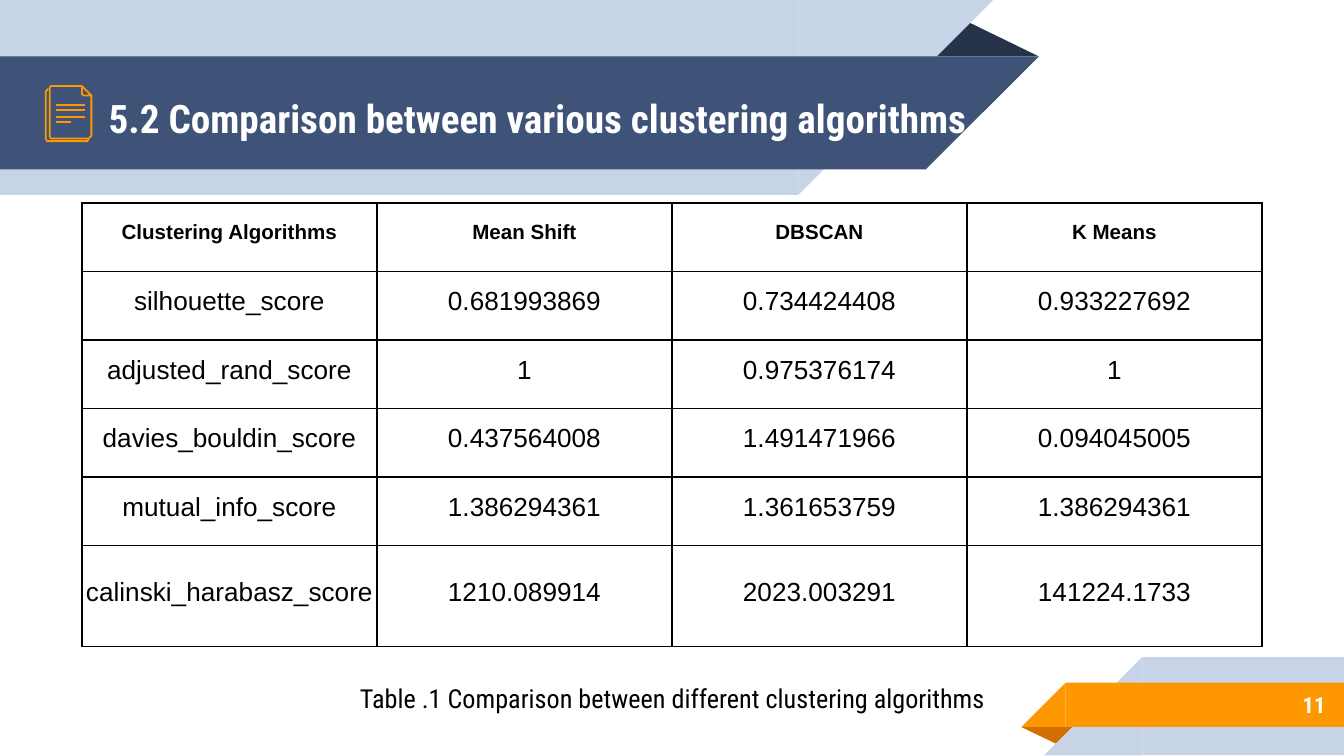
from lxml import etree
from pptx import Presentation
from pptx.dml.color import RGBColor
from pptx.enum.shapes import MSO_CONNECTOR, MSO_SHAPE
from pptx.enum.text import MSO_ANCHOR, PP_ALIGN
from pptx.oxml.ns import qn
from pptx.util import Inches, Pt

RECTANGLE = MSO_SHAPE.RECTANGLE
CORNER = MSO_SHAPE.RIGHT_TRIANGLE
FOLD = MSO_SHAPE.ISOSCELES_TRIANGLE
STRAIGHT = MSO_CONNECTOR.STRAIGHT
MIDDLE = MSO_ANCHOR.MIDDLE
LEFT, CENTER, RIGHT = PP_ALIGN.LEFT, PP_ALIGN.CENTER, PP_ALIGN.RIGHT

PALE, NAVY, ORANGE = "C7D3E6", "3F5378", "FF9800"
WHITE, BLACK = "FFFFFF", "000000"
CONDENSED = "Roboto Condensed"

RIBBONS = [
    (FOLD, 6.88, 0.14, 0.85, 0.28, "263248", None),
    (RECTANGLE, 0, 0, 5.94, 1.45, PALE, None),
    (CORNER, 5.94, 0, 1.45, 1.45, PALE, "flipV"),
    (RECTANGLE, 0, 0.42, 6.89, 0.84, NAVY, None),
    (CORNER, 6.89, 0.42, 0.84, 0.84, NAVY, "flipV"),
    (FOLD, 7.6, 5.41, 0.43, 0.14, "D26F00", "rot"),
    (RECTANGLE, 8.5, 4.89, 1.5, 0.73, PALE, None),
    (CORNER, 7.77, 4.89, 0.73, 0.73, PALE, "flipH"),
    (RECTANGLE, 7.93, 5.08, 2.07, 0.33, ORANGE, None),
    (CORNER, 7.6, 5.08, 0.33, 0.33, ORANGE, "flipH"),
]

TEXTS = [
    ("5.2 Comparison between various clustering algorithms",
     0.71, 0.43, 6.77, 0.84, 21, True, WHITE, LEFT, True),
    ("11", 8.33, 5.07, 1.63, 0.35, 12, True, WHITE, RIGHT, False),
    ("Table .1 Comparison between different clustering algorithms",
     2.34, 5.06, 5.33, 0.27, 14, False, BLACK, CENTER, False),
]

ICON_OUTLINES = [
    ([(0.66, 1.03), (0.65, 1.05), (0.64, 1.05), (0.36, 1.05), (0.35, 1.05),
      (0.34, 1.03), (0.34, 0.68), (0.35, 0.67), (0.36, 0.66)], False),
    ([(0.68, 0.71), (0.68, 1.01), (0.67, 1.02), (0.66, 1.03), (0.38, 1.03),
      (0.37, 1.02), (0.37, 1.01), (0.37, 0.66), (0.37, 0.65), (0.38, 0.64),
      (0.61, 0.64)], False),
    ([(0.61, 0.7), (0.61, 0.64), (0.68, 0.71), (0.63, 0.71), (0.62, 0.71)], True),
]
ICON_LINES = [(0.63, 0.78), (0.63, 0.82), (0.63, 0.87), (0.53, 0.91)]

ROWS = [
    ("Clustering Algorithms", "Mean Shift", "DBSCAN", "K Means"),
    ("silhouette_score", "0.681993869", "0.734424408", "0.933227692"),
    ("adjusted_rand_score", "1", "0.975376174", "1"),
    ("davies_bouldin_score", "0.437564008", "1.491471966", "0.094045005"),
    ("mutual_info_score", "1.386294361", "1.361653759", "1.386294361"),
    ("calinski_harabasz_score", "1210.089914", "2023.003291", "141224.1733"),
]
TABLE_LEFT, TABLE_TOP, TABLE_WIDTH = 0.61, 1.51, 8.78
ROW_HEIGHTS = [0.51] * 5 + [0.75]


def color(value):
    return RGBColor.from_string(value)


def style_paragraph(paragraph, size, bold, font_name, font_color, alignment, spaced):
    paragraph.alignment = alignment
    if spaced:
        paragraph.line_spacing = 1.15
        paragraph.space_before = paragraph.space_after = Pt(12)
    for run in paragraph.runs:
        run.font.size = Pt(size)
        run.font.bold = bold
        run.font.name = font_name
        run.font.color.rgb = color(font_color)


def style_icon_line(shape):
    shape.line.color.rgb = color(ORANGE)
    shape.line.width = Pt(0.96)


def add_ribbon(slide, kind, left, top, width, height, fill, turn):
    shape = slide.shapes.add_shape(
        kind, Inches(left), Inches(top), Inches(width), Inches(height))
    shape.shadow.inherit = False
    shape.fill.solid()
    shape.fill.fore_color.rgb = color(fill)
    shape.line.fill.background()
    if kind == FOLD:
        shape.adjustments[0] = 0.324
    if turn == "rot":
        shape.rotation = 180
    elif turn:
        shape._element.spPr.find(qn("a:xfrm")).set(turn, "1")


def add_text(slide, text, left, top, width, height, size, bold, font_color, alignment, spaced):
    box = slide.shapes.add_textbox(
        Inches(left), Inches(top), Inches(width), Inches(height))
    frame = box.text_frame
    frame.word_wrap = True
    frame.vertical_anchor = MIDDLE
    frame.margin_left = frame.margin_right = Inches(0.1)
    frame.margin_top = frame.margin_bottom = Inches(0.1)
    frame.text = text
    style_paragraph(frame.paragraphs[0], size, bold, CONDENSED, font_color, alignment, spaced)


def add_icon(slide):
    for points, closed in ICON_OUTLINES:
        corners = [(Inches(x), Inches(y)) for x, y in points]
        builder = slide.shapes.build_freeform(*corners[0])
        builder.add_line_segments(corners[1:], close=closed)
        shape = builder.convert_to_shape()
        shape.shadow.inherit = False
        shape.fill.background()
        style_icon_line(shape)
    for right, y in ICON_LINES:
        line = slide.shapes.add_connector(
            STRAIGHT, Inches(0.42), Inches(y), Inches(right), Inches(y))
        style_icon_line(line)
        etree.SubElement(line._element.spPr, qn("a:effectLst"))


def add_borders(cell):
    properties = cell._tc.get_or_add_tcPr()
    for position, side in enumerate(("lnL", "lnR", "lnT", "lnB")):
        border = etree.Element(qn(f"a:{side}"), w=str(Pt(1)))
        fill = etree.SubElement(border, qn("a:solidFill"))
        etree.SubElement(fill, qn("a:srgbClr"), val=BLACK)
        properties.insert(position, border)


def add_score_table(slide):
    table = slide.shapes.add_table(
        len(ROWS), len(ROWS[0]), Inches(TABLE_LEFT), Inches(TABLE_TOP),
        Inches(TABLE_WIDTH), Inches(sum(ROW_HEIGHTS))).table
    table.first_row = table.horz_banding = False
    for column in table.columns:
        column.width = Inches(TABLE_WIDTH / len(ROWS[0]))
    for row_index, values in enumerate(ROWS):
        table.rows[row_index].height = Inches(ROW_HEIGHTS[row_index])
        header = row_index == 0
        for column_index, value in enumerate(values):
            cell = table.cell(row_index, column_index)
            cell.text = value
            cell.vertical_anchor = MIDDLE
            cell.margin_left = cell.margin_right = cell.margin_top = Inches(0.01)
            cell.margin_bottom = Inches(0.1)
            if header or column_index == 0:
                cell.fill.background()
            else:
                cell.fill.solid()
                cell.fill.fore_color.rgb = color(WHITE)
            style_paragraph(cell.text_frame.paragraphs[0], 11 if header else 14,
                            header, "Arial", BLACK, CENTER, True)
            add_borders(cell)


def main():
    presentation = Presentation()
    presentation.slide_width = Inches(10)
    presentation.slide_height = Inches(10) * 9 // 16
    slide = presentation.slides.add_slide(presentation.slide_layouts[6])
    for ribbon in RIBBONS:
        add_ribbon(slide, *ribbon)
    for text in TEXTS:
        add_text(slide, *text)
    add_icon(slide)
    add_score_table(slide)
    presentation.save("out.pptx")


if __name__ == "__main__":
    main()
